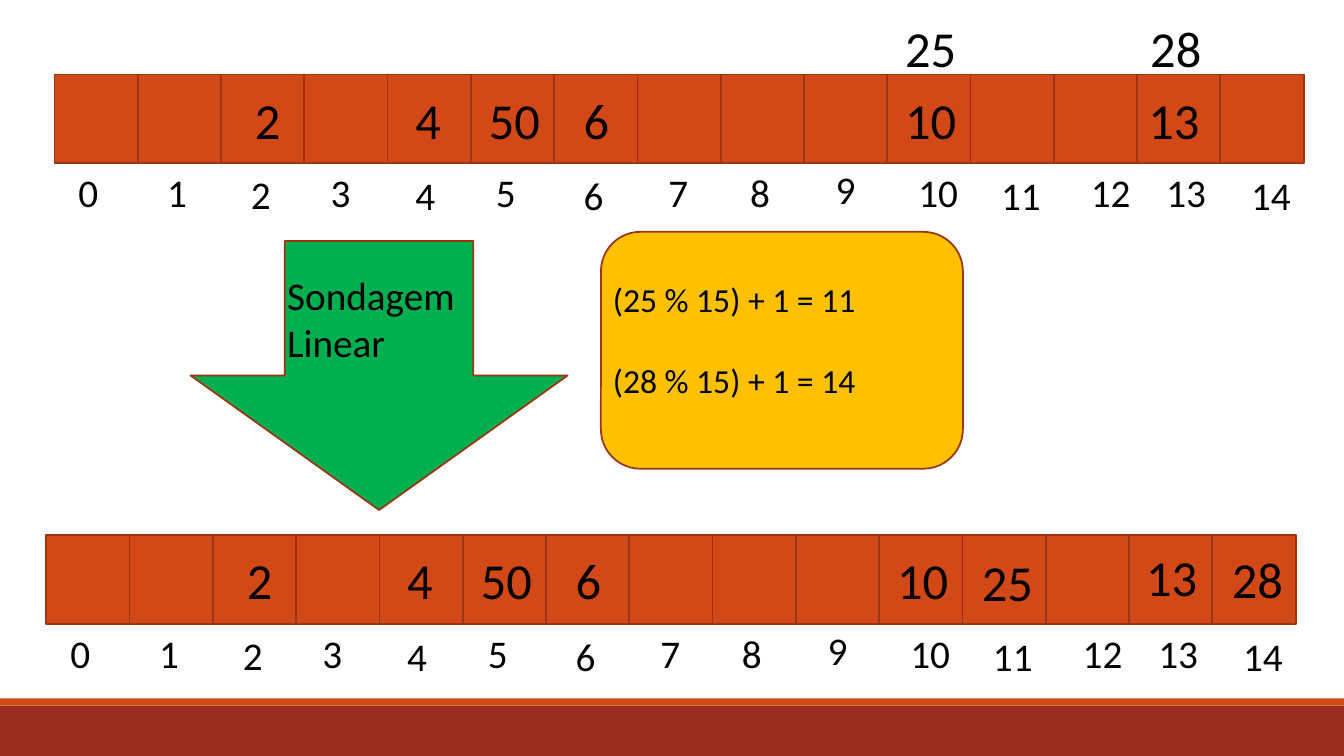
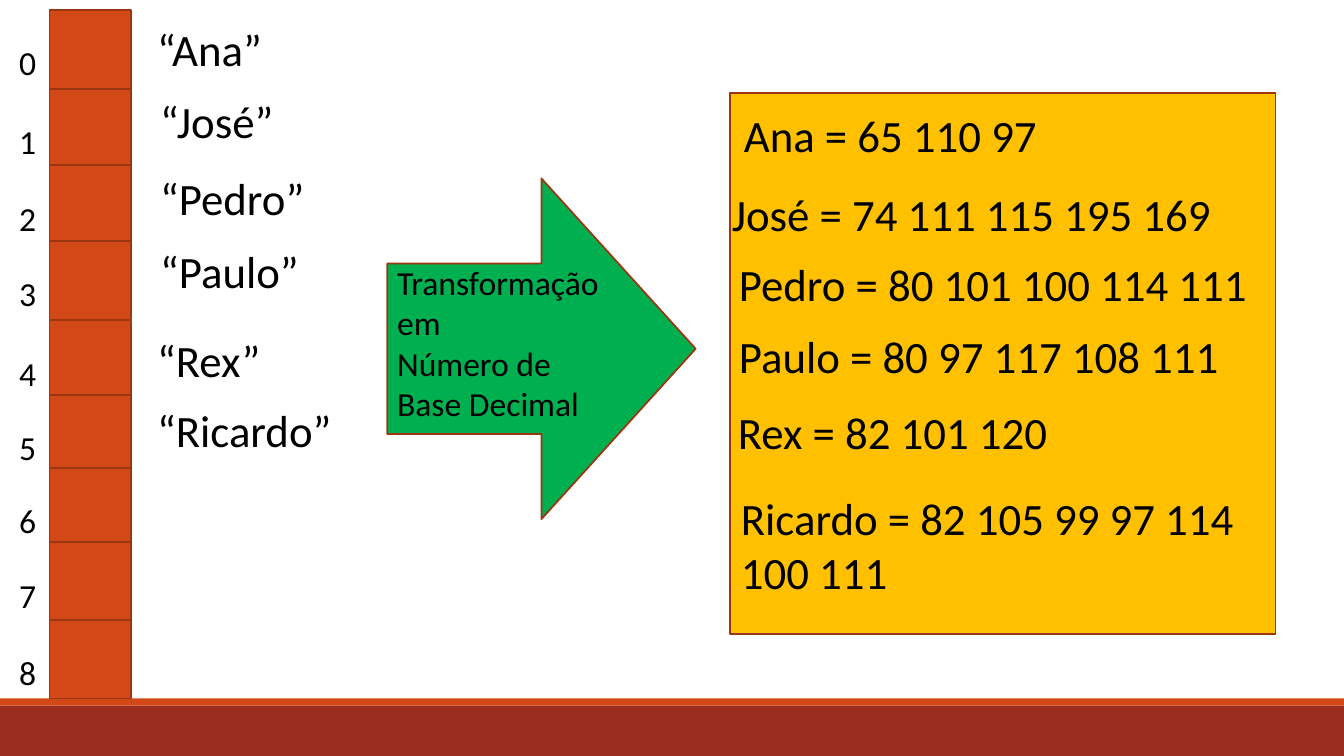
import pptx
import pptx.util
import pptx.dml.color
import pptx.enum.shapes
import pptx.enum.text

Inches = pptx.util.Inches
Pt = pptx.util.Pt
SHAPE = pptx.enum.shapes.MSO_SHAPE

# Shared palette and font
ORANGE, BROWN, DARK_RED = "D34817", "9C3511", "9B2D1F"
GREEN, AMBER, BLACK = "00B050", "FFC000", "000000"
FONT = "Calibri"


def color(value):
    return pptx.dml.color.RGBColor.from_string(value)


class Deck:
    """Holds the presentation, its style and the current slide."""

    def __init__(self):
        self.prs = pptx.Presentation()
        self.prs.slide_width = Inches(13.33)
        self.prs.slide_height = Inches(7.5)
        self.s = None

    def new_slide(self):
        self.s = self.prs.slides.add_slide(self.prs.slide_layouts[6])
        self.shape(SHAPE.RECTANGLE, 0, 7, 13.33, 0.5, DARK_RED, None)
        self.shape(SHAPE.RECTANGLE, 0, 6.93, 13.33, 0.07, ORANGE, None)

    def shape(self, kind, x, y, w, h, fill, line=BROWN):
        sp = self.s.shapes.add_shape(kind, Inches(x), Inches(y), Inches(w), Inches(h))
        sp.shadow.inherit = False
        sp.fill.solid()
        sp.fill.fore_color.rgb = color(fill)
        if line:
            sp.line.color.rgb = color(line)
            sp.line.width = Pt(1.25)
        else:
            sp.line.fill.background()
        return sp

    def text(self, text, x, y, w, h, size, gap=0):
        """Write one paragraph per line, with gap points between paragraphs."""
        sp = self.s.shapes.add_textbox(Inches(x), Inches(y), Inches(w), Inches(h))
        tf = sp.text_frame
        tf.word_wrap = True
        tf.auto_size = pptx.enum.text.MSO_AUTO_SIZE.SHAPE_TO_FIT_TEXT
        tf.text = text
        for i, p in enumerate(tf.paragraphs):
            if i and gap:
                p.space_before = Pt(gap)
            for r in p.runs:
                r.font.name = FONT
                r.font.size = Pt(size)
                r.font.color.rgb = color(BLACK)
        return sp

    def hash_table(self, x, y, values):
        """Draw a row of 15 cells with its values and indices, placed from (x, y)."""
        for i in range(15):
            self.shape(SHAPE.RECTANGLE, x + i * 0.826, y, 0.83, 0.88, ORANGE)
        for value, dx, dy, w in values:
            self.text(value, x + dx, y + dy, w, 0.71, 36)
        for i, (dx, dy) in enumerate(INDEX_OFFSETS):
            self.text(str(i), x + dx, y + dy, 0.68, 0.57, 28)


# Offsets from the top left corner of a table
INDEX_OFFSETS = [
    (0.14, 0.88), (1.02, 0.88), (1.85, 0.9), (2.64, 0.88), (3.48, 0.91),
    (4.28, 0.88), (5.15, 0.91), (5.99, 0.88), (6.8, 0.88), (7.65, 0.85),
    (8.47, 0.88), (9.29, 0.91), (10.18, 0.88), (10.93, 0.88), (11.77, 0.91),
]
# Value, horizontal and vertical offset, width
STORED = [
    ("2", 1.89, 0.09, 0.3), ("4", 3.48, 0.09, 1.25), ("50", 4.21, 0.09, 0.72),
    ("6", 5.15, 0.09, 1.09), ("10", 8.34, 0.09, 1.04),
]
COLLIDING = [
    ("13", 10.75, 0.09, 0.88), ("25", 8.34, -0.62, 0.74), ("28", 10.77, -0.62, 0.99),
]
RESOLVED = [
    ("13", 10.81, 0.06, 0.88), ("25", 9.18, 0.11, 0.74), ("28", 11.66, 0.08, 0.74),
]

# Names: text, left, top, width
NAMES = [
    ("“Ana”", 1.46, 0.17, 1.55), ("“José”", 1.49, 0.88, 1.55),
    ("“Pedro”", 1.49, 1.64, 1.74), ("“Paulo”", 1.49, 2.37, 1.84),
    ("“Rex”", 1.46, 3.25, 1.55), ("“Ricardo”", 1.46, 3.95, 2.03),
]
# Codes: text, left, top, height
CODES = [
    ("Ana = 65 110 97", 7.28, 1.02, 0.64),
    ("José = 74 111 115 195 169", 7.16, 1.8, 0.64),
    ("Pedro = 80 101 100 114 111", 7.23, 2.5, 0.64),
    ("Paulo = 80 97 117 108 111", 7.23, 3.21, 0.64),
    ("Rex = 82 101 120", 7.22, 3.97, 0.64),
    ("Ricardo = 82 105 99 97 114 100 111", 7.25, 4.82, 1.18),
]
CELL_TOPS = [0.1, 0.88, 1.64, 2.39, 3.18, 3.92, 4.64, 5.38, 6.15]


def linear_probing(deck):
    deck.new_slide()
    # Table before and after probing
    deck.hash_table(0.54, 0.74, STORED + COLLIDING)
    deck.hash_table(0.46, 5.31, STORED + RESOLVED)
    # Arrow between the tables
    deck.shape(SHAPE.DOWN_ARROW, 1.89, 2.39, 3.74, 2.67, GREEN)
    deck.text("Sondagem\nLinear", 2.75, 2.64, 4.13, 1.04, 28)
    # Calculation
    deck.shape(SHAPE.ROUNDED_RECTANGLE, 5.96, 2.3, 3.59, 2.35, AMBER)
    deck.text("(25 % 15) + 1 = 11\n(28 % 15) + 1 = 14", 5.98, 2.72, 3.65, 1.31, 24, gap=29)


def names_to_numbers(deck):
    deck.new_slide()
    # Vertical table with its indices
    for top in CELL_TOPS:
        deck.shape(SHAPE.RECTANGLE, 0.49, top, 0.81, 0.78, ORANGE)
    for i, top in enumerate(CELL_TOPS):
        deck.text(str(i), 0.09, top + 0.27, 0.81, 0.5, 24)
    # Names
    for name, x, y, w in NAMES:
        deck.text(name, x, y, w, 0.64, 32)
    # Conversion arrow
    deck.shape(SHAPE.RIGHT_ARROW, 3.84, 1.77, 3.06, 3.38, GREEN)
    deck.text("Transformação em\nNúmero de Base Decimal", 3.84, 2.55, 2.28, 1.72, 24)
    # Decimal codes
    deck.shape(SHAPE.RECTANGLE, 7.24, 0.92, 5.41, 5.37, AMBER)
    for code, x, y, h in CODES:
        deck.text(code, x, y, 5.41, h, 32)


def main():
    deck = Deck()
    linear_probing(deck)
    names_to_numbers(deck)
    deck.prs.save("out.pptx")


if __name__ == "__main__":
    main()
